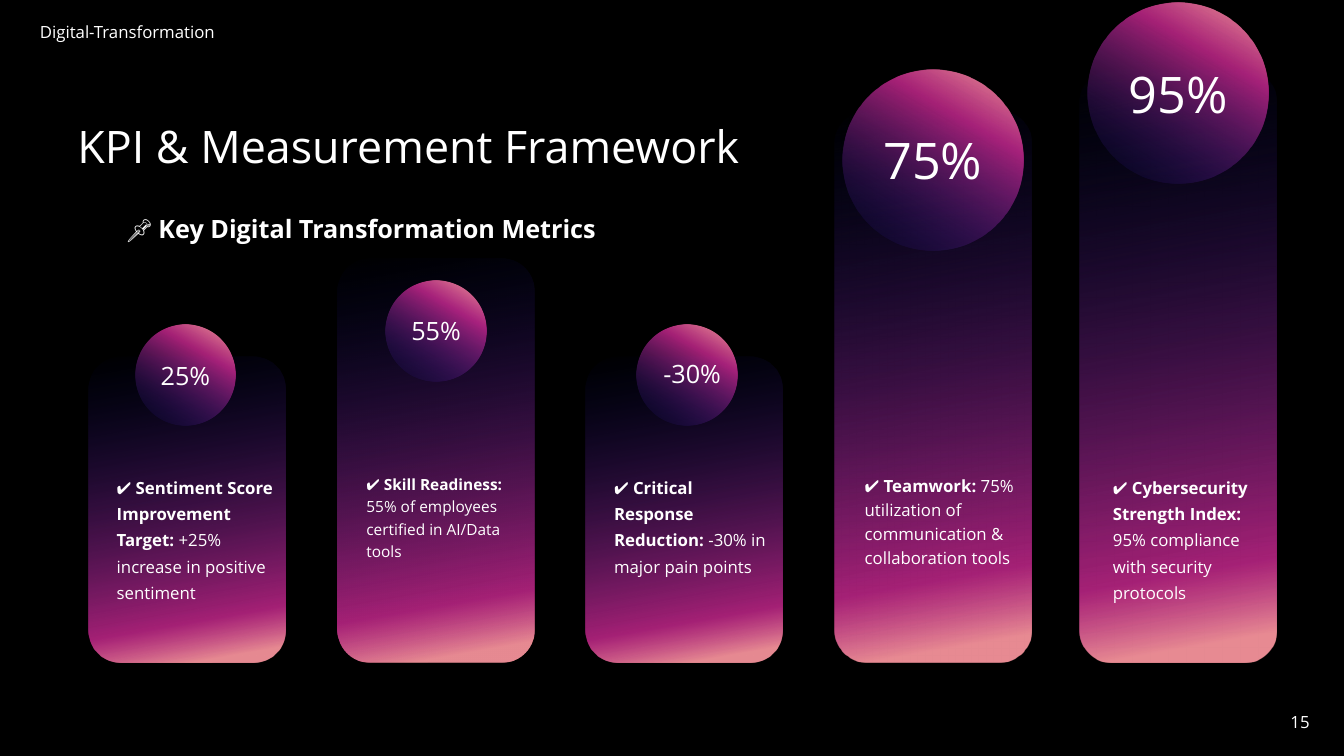
from lxml import etree
from pptx import Presentation
from pptx.dml.color import RGBColor
from pptx.enum import shapes, text
from pptx.oxml import ns
from pptx.util import Inches, Pt

FONT = "Open Sans"
WHITE = RGBColor(255, 255, 255)
BLACK = RGBColor(0, 0, 0)
BLUE = RGBColor(0x0C, 0x1A, 0x9C)
PINK = RGBColor(0xED, 0x2F, 0xA9)
PEACH = RGBColor(0xFF, 0x99, 0xA2)
FADE = {
    "bar": (80, [(0, BLUE, 0), (83, PINK, 69), (95, PEACH, 90)]),
    "disc": (300, [(0, BLUE, 0), (70, PINK, 69), (94, PEACH, 90)]),
}

WIDTH, HEIGHT = 13.33, 7.5
LEFT, PITCH, BAR, BASE = 0.88, 2.466, 1.95, 6.57
NOTE_TOP, NOTE_WIDTH = 4.63, 1.8
SMALL, LARGE = (1, 18), (1.79, 36)

LABELS = [
    ((0.13, 0.17, 2.27, 0.3), [("Digital-Transformation", False)], 12, 1, True),
    ((12.63, 7.01, 0.53, 0.3), [("15", False)], 12, 1, True),
    ((0.67, 1.19, 6.9, 0.59), [("KPI & Measurement Framework", False)], 32, 0.9, False),
    ((1.16, 2.07, 6.67, 0.4),
     [("📌 ", False), ("Key Digital Transformation Metrics", True)], 18, 1, False),
    ((6.48, 3.42, 0.88, 0.46), [("-30%", False)], 18, 1.3, False),
]

METRICS = [
    dict(tall=3.03, disc=(0.46, 3.22), size=SMALL, value="25%", shift=0.18,
         name="Sentiment Score Improvement Target:",
         goal=" +25% increase in positive sentiment", pt=12, gap=1.3, high=1.39),
    dict(tall=4, disc=(0.48, 2.78), size=SMALL, value="55%", shift=0.19,
         name="Skill Readiness:",
         goal=" 55% of employees certified in AI/Data tools", pt=11, gap=1.2, high=0.97),
    dict(tall=3.03, disc=(0.5, 3.22), size=SMALL, value="", shift=0.18,
         name="Critical Response Reduction:",
         goal=" -30% in major pain points", pt=12, gap=1.3, high=1.13),
    dict(tall=5.47, disc=(0.08, 0.69), size=LARGE, value="75%", shift=0.2,
         name="Teamwork:",
         goal=" 75% utilization of communication & collaboration tools",
         pt=12, gap=1.2, high=1.05),
    dict(tall=5.88, disc=(0.08, 0.03), size=LARGE, value="95%", shift=0.23,
         name="Cybersecurity Strength Index:",
         goal=" 95% compliance with security protocols", pt=12, gap=1.3, high=1.39),
]

deck = Presentation()
deck.slide_width, deck.slide_height = Inches(WIDTH), Inches(HEIGHT)
slide = deck.slides.add_slide(deck.slide_layouts[6])
slide.background.fill.solid()
slide.background.fill.fore_color.rgb = BLACK


def write(frame, runs, size, gap=1, center=False):
    para = frame.paragraphs[0]
    para.alignment = text.PP_ALIGN.CENTER if center else text.PP_ALIGN.LEFT
    para.line_spacing = gap
    for words, bold in runs:
        run = para.add_run()
        run.text = words
        run.font.name, run.font.size = FONT, Pt(size)
        run.font.bold = bold
        run.font.color.rgb = WHITE


def label(box, runs, size, gap, center):
    frame = slide.shapes.add_textbox(*map(Inches, box)).text_frame
    frame.word_wrap = True
    write(frame, runs, size, gap, center)


def glow(kind, box, look):
    shape = slide.shapes.add_shape(kind, *map(Inches, box))
    shape.shadow.inherit = False
    shape.line.fill.background()
    shape.fill.gradient()
    angle, stops = FADE[look]
    grad = shape.fill._xPr.find(ns.qn("a:gradFill"))
    for child in list(grad):
        grad.remove(child)
    row = etree.SubElement(grad, ns.qn("a:gsLst"))
    for pos, color, alpha in stops:
        stop = etree.SubElement(row, ns.qn("a:gs"), pos=str(pos * 1000))
        tint = etree.SubElement(stop, ns.qn("a:srgbClr"), val=str(color))
        etree.SubElement(tint, ns.qn("a:alpha"), val=str(alpha * 1000))
    etree.SubElement(grad, ns.qn("a:lin"), ang=str(angle * 60000), scaled="0")
    return shape


lefts = [LEFT + PITCH * i for i in range(len(METRICS))]
lefts[-1] = 10.71

for x, m in zip(lefts, METRICS):
    glow(shapes.MSO_SHAPE.ROUNDED_RECTANGLE, (x, BASE - m["tall"], BAR, m["tall"]), "bar")
    (dx, top), (wide, size) = m["disc"], m["size"]
    disc = glow(shapes.MSO_SHAPE.OVAL, (x + dx, top, wide, wide), "disc")
    if m["value"]:
        disc.text_frame.word_wrap = False
        disc.text_frame.vertical_anchor = text.MSO_ANCHOR.MIDDLE
        write(disc.text_frame, [(m["value"], False)], size, center=True)
    runs = [("✔ ", False), (m["name"], True), (m["goal"], False)]
    label((x + m["shift"], NOTE_TOP, NOTE_WIDTH, m["high"]), runs, m["pt"], m["gap"], False)

for item in LABELS:
    label(*item)

deck.save("out.pptx")
